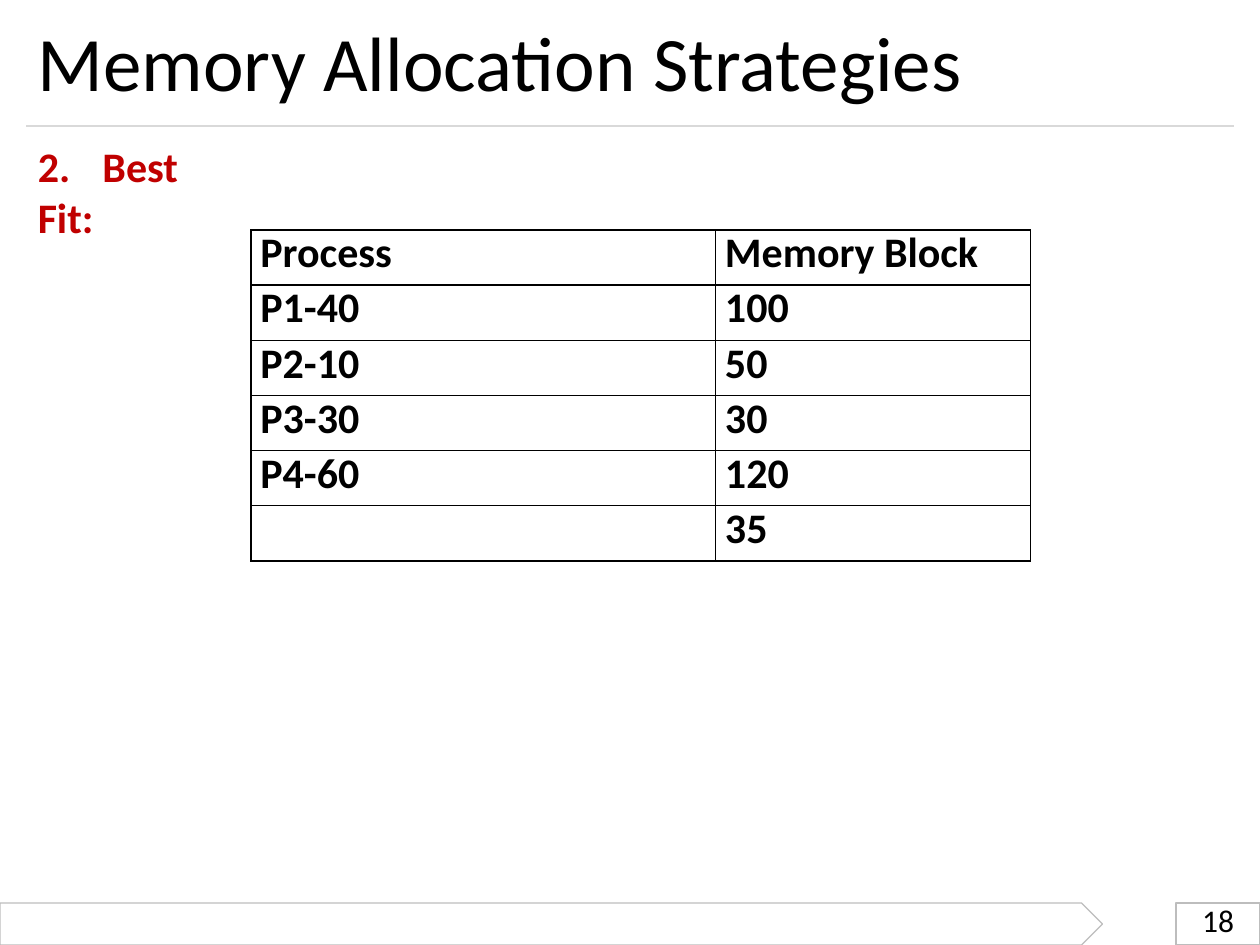
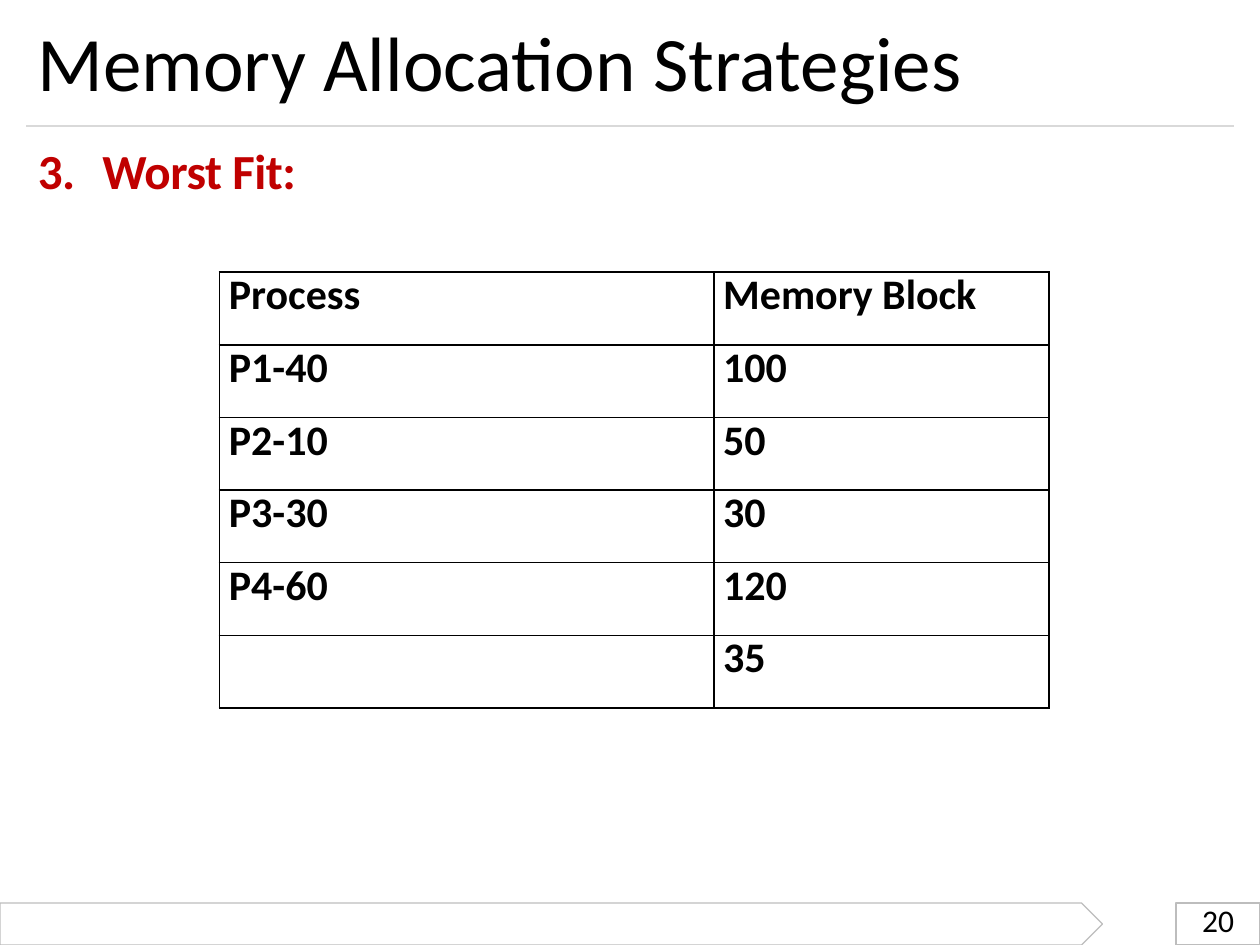
from lxml.etree import SubElement
from pptx import Presentation
from pptx.dml.color import RGBColor
from pptx.enum.shapes import MSO_CONNECTOR as Link, MSO_SHAPE as Shape
from pptx.oxml import parse_xml
from pptx.oxml.ns import nsdecls, qn
from pptx.util import Pt

FACE = "Calibri"
INK, RED, EDGE, RULE = "000000", "C00000", "BDBDBD", "D9D9D9"
LEFT = 21.6
FOOT, BAND = 516, 24
ROWS = [
    ("Process", "Memory Block"),
    ("P1-40", "100"),
    ("P2-10", "50"),
    ("P3-30", "30"),
    ("P4-60", "120"),
    ("", "35"),
]


def tint(code):
    return RGBColor.from_string(code)


def style(par, size, color=INK, bold=False):
    font = par.font
    font.name, font.size, font.bold = FACE, Pt(size), bold
    font.color.rgb = tint(color)


def add_text(slide, text, box, size, color=INK, bold=False):
    """Add a one-paragraph text box without side insets; return the paragraph."""
    frame = slide.shapes.add_textbox(*map(Pt, box)).text_frame
    frame.word_wrap = True
    frame.margin_left = frame.margin_right = frame.margin_bottom = 0
    frame.margin_top = Pt(1)
    par = frame.paragraphs[0]
    par.text = text
    par.space_before = Pt(1)
    style(par, size, color, bold)
    return par


def add_head(slide, text, width, size, track):
    """Add the red numbered heading; track is letter spacing in points."""
    par = add_text(slide, text, (LEFT, 79.5, width, 33), size, RED, True)
    tabs = parse_xml(f'<a:tabLst {nsdecls("a")}><a:tab algn="l"/></a:tabLst>')
    tabs[0].set("pos", str(Pt(37)))
    par._p.get_or_add_pPr().insert_element_before(tabs, "a:defRPr")
    if track:
        par.runs[0]._r.get_or_add_rPr().set("spc", str(round(track * 100)))


def add_band(slide, kind, left, width):
    band = slide.shapes.add_shape(kind, Pt(left), Pt(FOOT), Pt(width), Pt(BAND))
    band.shadow.inherit = False
    band.fill.background()
    band.line.color.rgb = tint(EDGE)
    band.line.width = Pt(0.72)


def add_rule(slide):
    rule = slide.shapes.add_connector(Link.STRAIGHT, Pt(15), Pt(72), Pt(705), Pt(72))
    rule.line.color.rgb = tint(RULE)
    rule.line.width = Pt(0.72)
    SubElement(rule._element.spPr, qn("a:effectLst"))


def add_frame(slide, page):
    """Add what all slides share: footer, rule, title and page number."""
    add_band(slide, Shape.RECTANGLE, 672, 48)
    add_rule(slide)
    add_band(slide, Shape.PENTAGON, 0, 630)
    add_text(slide, "Memory Allocation Strategies", (LEFT, 7.2, 677, 55), 44)
    par = add_text(slide, str(page), (687, 517.4, 30, 20), 18)
    par.space_before = Pt(0)
    par.line_spacing = Pt(18)


def add_edges(cell):
    props = cell._tc.get_or_add_tcPr()
    for side in "LRTB":
        props.append(parse_xml(
            f'<a:ln{side} {nsdecls("a")} w="{Pt(1)}"><a:solidFill>'
            f'<a:srgbClr val="{INK}"/></a:solidFill></a:ln{side}>'))


def add_grid(slide, left, top, cols, high):
    box = left, top, sum(cols), high * len(ROWS)
    grid = slide.shapes.add_table(len(ROWS), len(cols), *map(Pt, box)).table
    grid.first_row = grid.horz_banding = False
    for col, width in zip(grid.columns, cols):
        col.width = Pt(width)
    for row, texts in zip(grid.rows, ROWS):
        row.height = Pt(high)
        for cell, text in zip(row.cells, texts):
            cell.margin_left = Pt(5.4)
            cell.margin_right = cell.margin_top = cell.margin_bottom = 0
            add_edges(cell)
            cell.fill.background()
            par = cell.text_frame.paragraphs[0]
            par.text = text
            par.line_spacing = Pt(28)
            style(par, 24, bold=True)


def main():
    deck = Presentation()
    deck.slide_width, deck.slide_height = Pt(720), Pt(540)
    blank = deck.slide_layouts[6]
    plans = [
        (18, ("2.\tBest Fit:", 116, 24, 0), (143.4, 131.5, (265.5, 180), 31.5)),
        (20, ("3.\tWorst Fit:", 150, 28, -0.25), (125.4, 155.5, (282.5, 191.5), 41.5)),
    ]
    for page, head, grid in plans:
        slide = deck.slides.add_slide(blank)
        add_frame(slide, page)
        add_head(slide, *head)
        add_grid(slide, *grid)
    deck.save("out.pptx")


if __name__ == "__main__":
    main()
